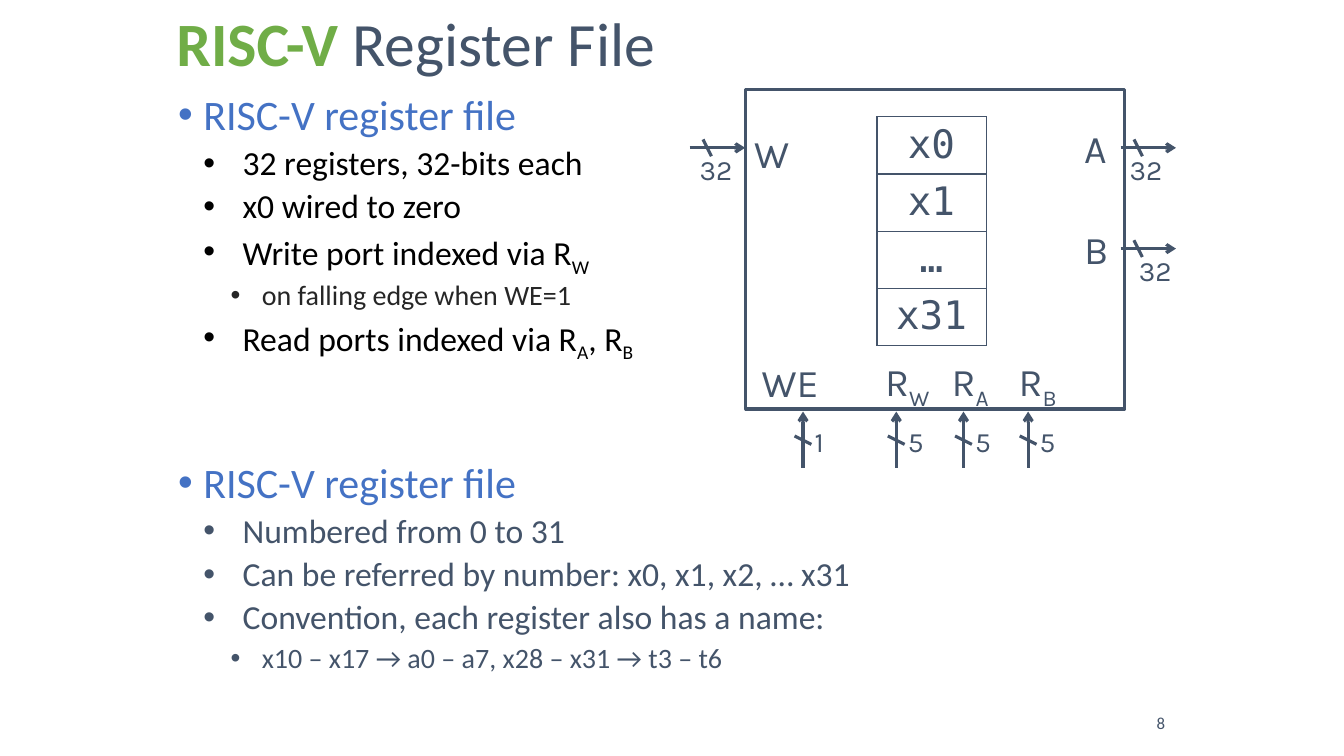
from dataclasses import dataclass

from lxml.etree import SubElement
from pptx import Presentation
from pptx.dml.color import RGBColor
from pptx.enum.shapes import MSO_CONNECTOR, MSO_SHAPE
from pptx.enum.text import MSO_ANCHOR, MSO_AUTO_SIZE, PP_ALIGN
from pptx.oxml import parse_xml
from pptx.oxml.ns import nsdecls, qn
from pptx.util import Emu, Inches, Pt


@dataclass(frozen=True)
class Theme:
    """Colours, fonts and type sizes of the slide."""
    slate: str = "44546A"
    green: str = "70AD47"
    blue: str = "4472C4"
    black: str = "000000"
    dark: str = "262626"
    text: str = "Calibri"
    diagram: str = "Karla"
    mono: str = "DejaVu Sans Mono"
    title: int = 44
    levels: tuple = (30, 24, 20)
    port: int = 28
    width: int = 20
    number: int = 12
    stroke: float = 2.25


T = Theme()
COLS, ROWS = 160, 90
INDENTS = ((0.25, -0.25), (0.64, -0.39), (0.83, -0.31))
SPACE = (10, 5, 5)
SECTION_GAP = 73

BULLETS = (
    (0, "RISC-V register file", T.blue),
    (1, "32 registers, 32-bits each", T.black),
    (1, "x0 wired to zero", T.black),
    (1, "Write port indexed via R|W", T.black),
    (2, "on falling edge when WE=1", T.dark),
    (1, "Read ports indexed via R|A|, R|B", T.black),
    (0, "RISC-V register file", T.blue),
    (1, "Numbered from 0 to 31", T.slate),
    (1, "Can be referred by number: x0, x1, x2, … x31", T.slate),
    (1, "Convention, each register also has a name:", T.slate),
    (2, "x10 – x17 → a0 – a7, x28 – x31 → t3 – t6", T.slate),
)
PORTS = (("A", 127.9, 14.2), ("B", 127.9, 26.2), ("W", 88.6, 14.8),
         ("R|W", 104.2, 42), ("R|A", 112.1, 42), ("R|B", 120.1, 42),
         ("WE", 89.5, 42.1))
DATA_BUSES = ((82.1, 17.6, 82.1), (133.4, 17.6, 133.3), (133.4, 29.6, 134.4))
CONTROL_BUSES = ((95.6, "1"), (106.7, "5"), (114.7, "5"), (122.4, "5"))


def write(p, text, size, color=T.slate, font=T.text, bold=False):
    """Add text to a paragraph; every second piece between bars is a subscript."""
    for i, piece in enumerate(text.split("|")):
        r = p.add_run()
        r.text = piece
        r.font.size = Pt(size)
        r.font.name = font
        r.font.bold = bold
        r.font.color.rgb = RGBColor.from_string(color)
        if i % 2:
            r.font._element.set("baseline", "-25000")


class Board:
    """The current slide with its grid and one method per kind of element."""

    def __init__(self, prs):
        """Add a title and content slide."""
        self.s = prs.slides.add_slide(prs.slide_layouts[1])
        self.cw, self.rh = prs.slide_width / COLS, prs.slide_height / ROWS

    def at(self, *cells):
        """Turn column and row pairs into lengths."""
        return [Emu(round(v * (self.rh if i % 2 else self.cw)))
                for i, v in enumerate(cells)]

    def place(self, sp, *box):
        """Move a placeholder and return its text frame."""
        sp.left, sp.top, sp.width, sp.height = self.at(*box)
        tf = sp.text_frame
        tf.word_wrap = True
        tf.auto_size = MSO_AUTO_SIZE.NONE
        return tf

    def title(self, strong, rest, *box):
        """Fill the title with a strong word and the rest."""
        tf = self.place(self.s.shapes.title, *box)
        tf.vertical_anchor = MSO_ANCHOR.MIDDLE
        p = tf.paragraphs[0]
        p.alignment, p.line_spacing = PP_ALIGN.LEFT, 0.9
        write(p, strong, T.title, T.green, bold=True)
        write(p, rest, T.title)

    def bullets(self, items, *box):
        """Fill the body with a list of several levels."""
        tf = self.place(self.s.placeholders[1], *box)
        tf.vertical_anchor = MSO_ANCHOR.TOP
        for i, (level, text, color) in enumerate(items):
            p = tf.add_paragraph() if i else tf.paragraphs[0]
            p.level = level
            pPr = p._p.get_or_add_pPr()
            for name, inches in zip(("marL", "indent"), INDENTS[level]):
                pPr.set(name, str(Inches(inches)))
            SubElement(pPr, qn("a:buFont")).set("typeface", "Arial")
            SubElement(pPr, qn("a:buChar")).set("char", "•")
            p.line_spacing = 0.9
            gap = SPACE[level] if level else SECTION_GAP
            p.space_before = Pt(gap if i else 0)
            write(p, text, T.levels[level], color)

    def label(self, text, *box, align=PP_ALIGN.LEFT, anchor=MSO_ANCHOR.TOP, **fmt):
        """Add a text box."""
        tf = self.s.shapes.add_textbox(*self.at(*box)).text_frame
        tf.word_wrap = True
        tf.vertical_anchor = anchor
        p = tf.paragraphs[0]
        p.alignment = align
        write(p, text, **fmt)

    def frame(self, *box):
        """Add an unfilled rectangle."""
        sp = self.s.shapes.add_shape(MSO_SHAPE.RECTANGLE, *self.at(*box))
        sp.shadow.inherit = False
        sp.fill.background()
        sp.line.color.rgb = RGBColor.from_string(T.slate)
        sp.line.width = Pt(T.stroke)

    def line(self, *ends, arrow=False):
        """Add a straight line, with an arrowhead if asked."""
        c = self.s.shapes.add_connector(MSO_CONNECTOR.STRAIGHT, *self.at(*ends))
        c.line.color.rgb = RGBColor.from_string(T.slate)
        c.line.width = Pt(T.stroke)
        if arrow:
            SubElement(c.line._get_or_add_ln(), qn("a:tailEnd")).set("type", "arrow")
        SubElement(c._element.spPr, qn("a:effectLst"))

    def bus(self, start, end, slash, half):
        """Add an arrow crossed by a short slash."""
        (x, y), (dx, dy) = slash, half
        self.line(*start, *end, arrow=True)
        self.line(x - dx, y - dy, x + dx, y + dy)

    def registers(self, names, *box):
        """Add a one-column table of registers."""
        tbl = self.s.shapes.add_table(len(names), 1, *self.at(*box)).table
        tbl.first_row = tbl.horz_banding = False
        for i, name in enumerate(names):
            cell = tbl.cell(i, 0)
            cell.fill.background()
            tcPr = cell._tc.get_or_add_tcPr()
            for k, side in enumerate("LRTB"):
                tcPr.insert(k, parse_xml(
                    f'<a:ln{side} {nsdecls("a")} w="{Pt(1)}"><a:solidFill>'
                    f'<a:srgbClr val="{T.slate}"/></a:solidFill></a:ln{side}>'))
            p = cell.text_frame.paragraphs[0]
            p.alignment = PP_ALIGN.CENTER
            write(p, name, T.port, font=T.mono)


def main():
    """Build the register file slide."""
    prs = Presentation()
    prs.slide_width, prs.slide_height = Inches(13.33), Inches(7.5)
    b = Board(prs)
    b.bullets(BULLETS, 20, 10.6, 99.2, 72.6)
    b.title("RISC-V", " Register File", 19.8, 2, 114, 7)
    b.label("8", 133.9, 82.1, 6, 7.9, align=PP_ALIGN.RIGHT,
            anchor=MSO_ANCHOR.MIDDLE, size=T.number)
    b.frame(88.8, 10.7, 45.1, 38)
    for text, x, y in PORTS:
        b.label(text, x, y, 10, 6.8, size=T.port, font=T.diagram)
    for x, y, text_x in DATA_BUSES:
        b.bus((x, y), (x + 6.6, y), (x + 2.1, y), (0.5, 1))
        b.label("32", text_x, y, 8, 5.3, size=T.width, font=T.diagram)
    for x, bits in CONTROL_BUSES:
        b.bus((x, 55.7), (x, 49), (x, 52.4), (1, 0.5))
        b.label(bits, x + 0.2, 49.9, 5, 5.3, size=T.width, font=T.diagram)
    b.registers(("x0", "x1", "…", "x31"), 104.4, 13.9, 13, 27.2)
    prs.save("out.pptx")


if __name__ == "__main__":
    main()
